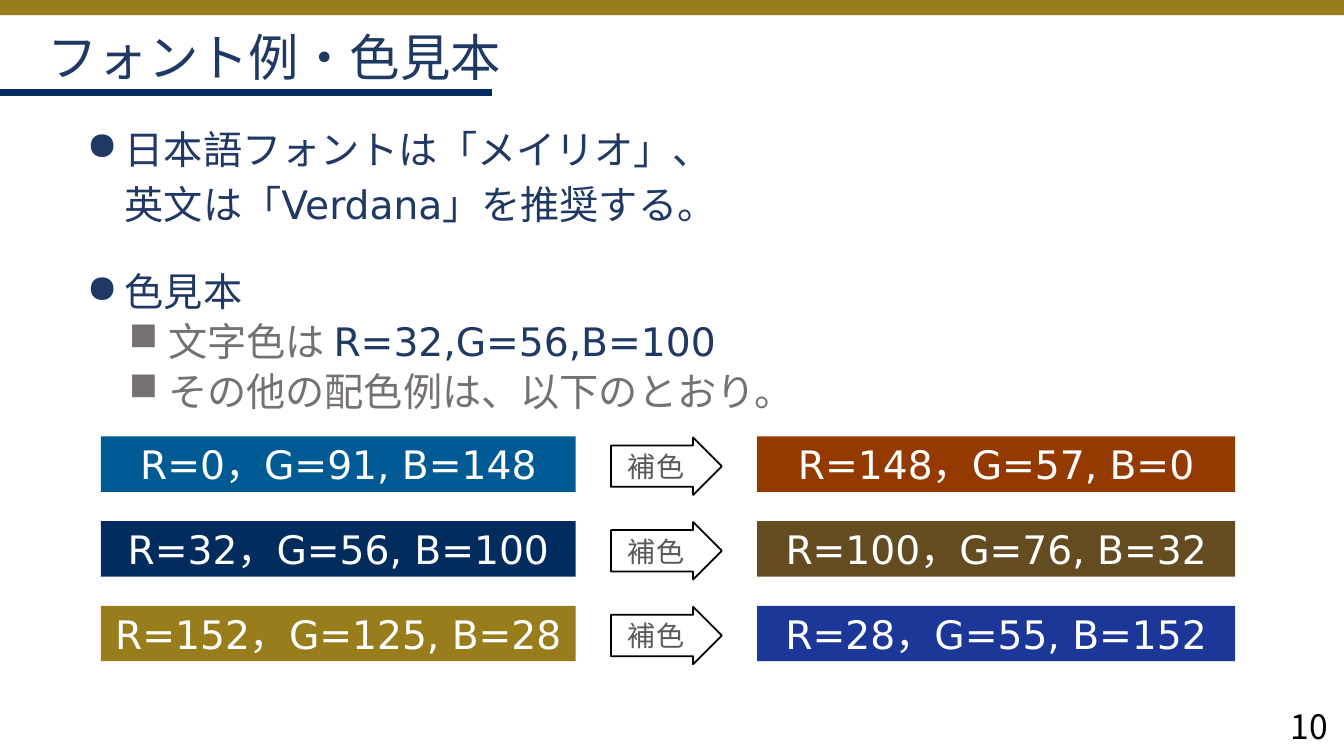
from pptx import Presentation
from pptx.dml.color import RGBColor
from pptx.enum.shapes import MSO_CONNECTOR, MSO_SHAPE as SHAPE
from pptx.enum.text import MSO_ANCHOR as ANCHOR, PP_ALIGN as ALIGN
from pptx.oxml.ns import qn
from pptx.util import Inches, Pt
from lxml import etree

COLORS = {
    "text": "203864", "gray": "767171", "arrow": "595959",
    "black": "000000", "white": "FFFFFF",
    "blue": "005B94", "rust": "943900",
    "navy": "022C5E", "brown": "644C20",
    "gold": "987D1C", "royal": "1C3798",
}
FONT = "DejaVu Sans"


def style(p, size, color, font=FONT):
    for r in p.runs:
        r.font.size = Pt(size)
        r.font.name = font
        r.font.color.rgb = RGBColor.from_string(COLORS[color])


def add_box(kind, left, top, width, height, fill=None, text="", size=28, color="white"):
    sp = slide.shapes.add_shape(kind, Inches(left), Inches(top), Inches(width), Inches(height))
    sp.shadow.inherit = False
    sp.line.fill.background()
    if fill:
        sp.fill.solid()
        sp.fill.fore_color.rgb = RGBColor.from_string(COLORS[fill])
    else:
        sp.fill.background()
    if text:
        tf = sp.text_frame
        tf.word_wrap = False
        tf.vertical_anchor = ANCHOR.MIDDLE
        tf.margin_left = tf.margin_right = tf.margin_top = tf.margin_bottom = Inches(0.04)
        tf.text = text
        tf.paragraphs[0].alignment = ALIGN.CENTER
        style(tf.paragraphs[0], size, color)
    return sp


prs = Presentation()
prs.slide_width, prs.slide_height = Inches(13.33), Inches(7.5)
slide = prs.slides.add_slide(prs.slide_layouts[6])

add_box(SHAPE.RECTANGLE, 0, 0, 13.33, 0.15, "gold")

rule = slide.shapes.add_connector(
    MSO_CONNECTOR.STRAIGHT, 0, Inches(0.92), Inches(4.88), Inches(0.92))
rule.line.color.rgb = RGBColor.from_string(COLORS["navy"])
rule.line.width = Pt(5)
etree.SubElement(rule._element.spPr, qn("a:effectLst"))

number = slide.shapes.add_textbox(Inches(11.21), Inches(6.95), Inches(2.06), Inches(0.5))
tf = number.text_frame
tf.word_wrap = True
tf.text = "10"
tf.paragraphs[0].alignment = ALIGN.RIGHT
style(tf.paragraphs[0], 24, "black", "Noto Sans CJK JP")

title = slide.shapes.add_textbox(Inches(0.37), Inches(0.14), Inches(11.76), Inches(0.78))
tf = title.text_frame
tf.word_wrap = True
tf.vertical_anchor = ANCHOR.MIDDLE
tf.margin_bottom = 0
tf.text = "フォント例・色見本"
style(tf.paragraphs[0], 36, "text")

body = slide.shapes.add_textbox(Inches(0.76), Inches(1.19), Inches(11.81), Inches(3.06))
tf = body.text_frame
tf.word_wrap = True
paragraphs = [
    ("日本語フォントは「メイリオ」、", "●", 0, 12, 1, "text"),
    ("英文は「Verdana」を推奨する。", None, 0, 6, 1, "text"),
    ("色見本", "●", 0, 12, 1.5, "text"),
    ("文字色は ", "■", 1, 2, 1, "gray"),
    ("その他の配色例は、以下のとおり。", "■", 1, 2, 1, "gray"),
]
for i, (text, bullet, level, before, spacing, color) in enumerate(paragraphs):
    p = tf.add_paragraph() if i else tf.paragraphs[0]
    p.text = text
    p.level = level
    p.space_before = Pt(before)
    p.line_spacing = float(spacing)
    style(p, 28, color)
    pPr = p._p.get_or_add_pPr()
    pPr.set("marL", str(Inches(0.81 if level else 0.38)))
    pPr.set("indent", str(Inches(-0.39 if bullet else 0)))
    if bullet:
        etree.SubElement(pPr, qn("a:buChar")).set("char", bullet)

r = tf.paragraphs[3].add_run()
r.text = "R=32,G=56,B=100"
r.font.size = Pt(28)
r.font.name = FONT
r.font.color.rgb = RGBColor.from_string(COLORS["text"])

swatches = [
    ("blue", "R=0，G=91, B=148", "rust", "R=148，G=57, B=0"),
    ("navy", "R=32，G=56, B=100", "brown", "R=100，G=76, B=32"),
    ("gold", "R=152，G=125, B=28", "royal", "R=28，G=55, B=152"),
]
for row, (base, base_text, complement, complement_text) in enumerate(swatches):
    top = 4.33 + 0.84 * row
    add_box(SHAPE.RECTANGLE, 1, top, 4.71, 0.55, base, base_text)
    arrow = add_box(SHAPE.RIGHT_ARROW, 6.06, top + 0.01, 1.1, 0.57, None, "補色", 20, "arrow")
    arrow.adjustments[0] = 0.72
    arrow.adjustments[1] = 0.5
    arrow.line.color.rgb = RGBColor.from_string(COLORS["black"])
    arrow.line.width = Pt(1.25)
    add_box(SHAPE.RECTANGLE, 7.51, top, 4.74, 0.55, complement, complement_text)

prs.save("out.pptx")
